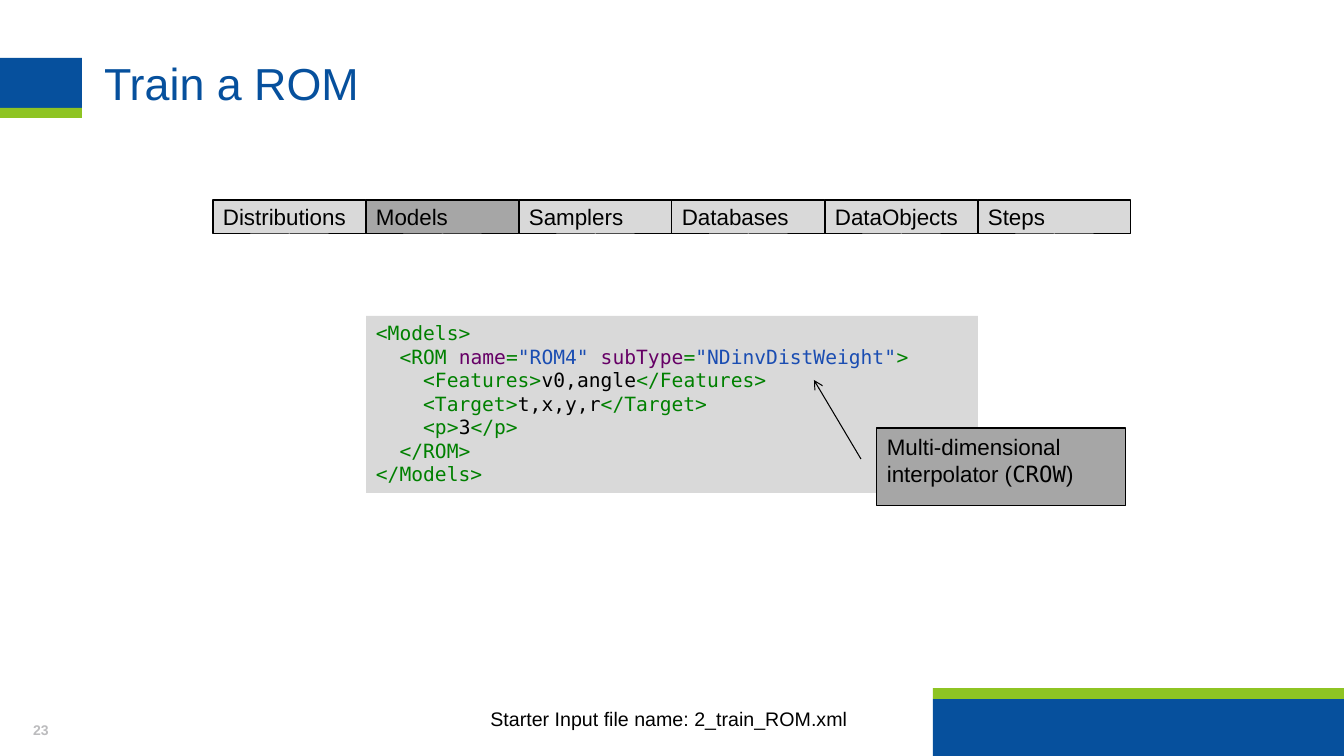
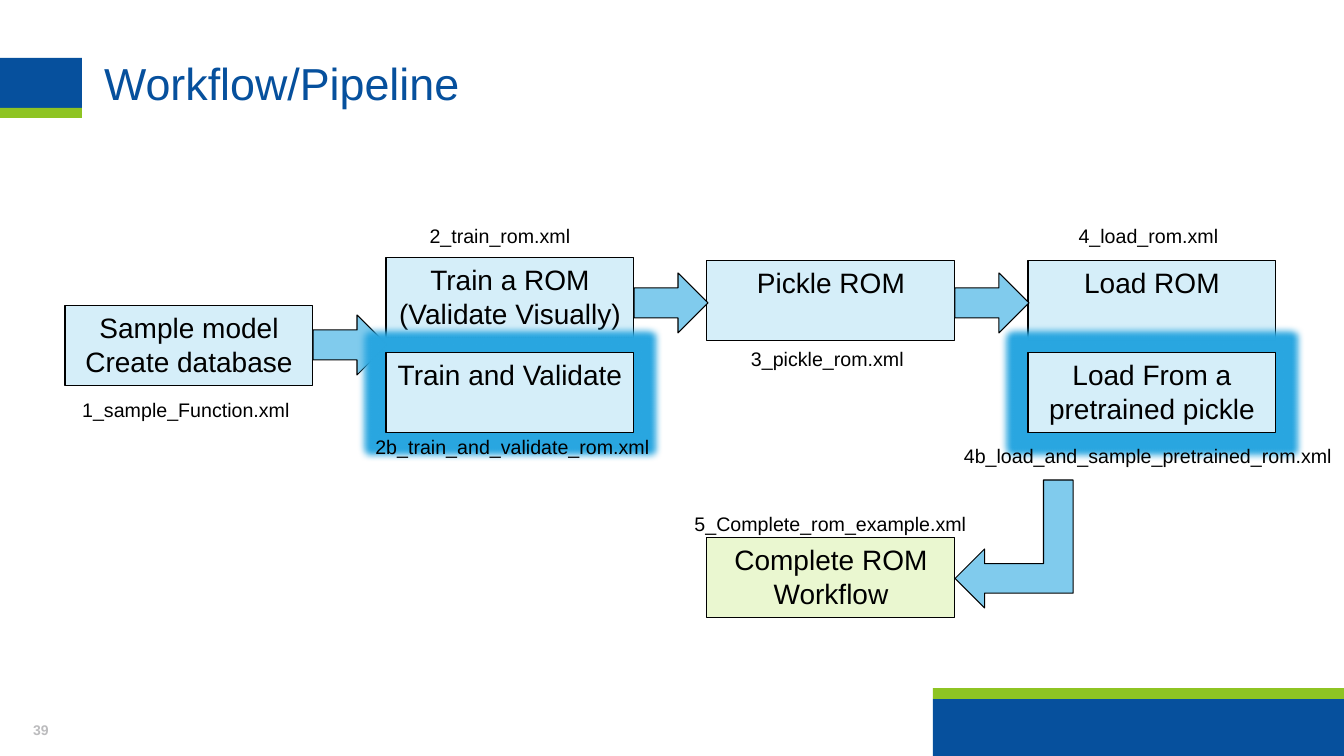
from lxml import etree
from pptx import Presentation
from pptx.dml.color import RGBColor
from pptx.enum.shapes import MSO_CONNECTOR, MSO_SHAPE
from pptx.enum.text import MSO_ANCHOR, MSO_AUTO_SIZE, PP_ALIGN
from pptx.oxml.ns import qn
from pptx.util import Pt

RECT = MSO_SHAPE.RECTANGLE
RIGHT_ARROW, BENT_ARROW = MSO_SHAPE.RIGHT_ARROW, MSO_SHAPE.BENT_UP_ARROW
STRAIGHT = MSO_CONNECTOR.STRAIGHT
LEFT, CENTER = PP_ALIGN.LEFT, PP_ALIGN.CENTER
TOP, MIDDLE = MSO_ANCHOR.TOP, MSO_ANCHOR.MIDDLE
NO_FIT = MSO_AUTO_SIZE.NONE

SLIDE_W, SLIDE_H = 1344, 756
EMU_PER_PX = 12192000 / SLIDE_W
SANS, MONO = "Arial", "DejaVu Sans Mono"
BLACK, BLUE, GREEN, PAGE_GREY = "000000", "06509D", "8EC423", "BCBCBE"
LIGHT_GREY, DARK_GREY = "D9D9D9", "A6A6A6"
PALE_BLUE, SKY, PALE_GREEN, GLOW = "D5EEF9", "80CBED", "EAF7D0", "2AA7E1"
TAG, ATTR, VALUE = "008000", "660066", "1A4DB2"

BANDS = [
    (933, 699, 411, 57, BLUE),
    (933, 688, 411, 11, GREEN),
    (0, 58, 82, 50, BLUE),
    (0, 108, 82, 10, GREEN),
]
SECTIONS = ["Distributions", "Models", "Samplers", "Databases", "DataObjects", "Steps"]
CODE = [
    [("<Models>", TAG)],
    [("  <ROM ", TAG), ("name", ATTR), ("=", TAG), ('"ROM4" ', VALUE),
     ("subType", ATTR), ("=", TAG), ('"NDinvDistWeight"', VALUE), (">", TAG)],
    [("    <Features>", TAG), ("v0,angle", BLACK), ("</Features>", TAG)],
    [("    <Target>", TAG), ("t,x,y,r", BLACK), ("</Target>", TAG)],
    [("    <p>", TAG), ("3", BLACK), ("</p>", TAG)],
    [("  </ROM>", TAG)],
    [("</Models>", TAG)],
]
COLUMN_STEP, STEP_W, STEP_H = 321, 248, 80
PLAIN_STEPS = [
    (0, 306, PALE_BLUE, ["Sample model Create database"]),
    (1, 258, PALE_BLUE, ["Train a ROM", "(Validate Visually)"]),
    (2, 261, PALE_BLUE, ["Pickle ROM"]),
    (3, 261, PALE_BLUE, ["Load ROM"]),
    (2, 538, PALE_GREEN, ["Complete ROM Workflow"]),
]
GLOWING_STEPS = [
    (1, 353, PALE_BLUE, ["Train and Validate"]),
    (3, 353, PALE_BLUE, ["Load From a pretrained pickle"]),
]
ARROW_TOPS = [315, 273, 273]
FILE_LABELS = [
    ("1_sample_Function.xml", 62, 393, 248),
    ("2_train_rom.xml", 376, 219, 248),
    ("2b_train_and_validate_rom.xml", 365, 430, 295),
    ("3_pickle_rom.xml", 680, 342, 295),
    ("4_load_rom.xml", 1001, 219, 295),
    ("4b_load_and_sample_pretrained_rom.xml", 952, 439, 392),
    ("5_Complete_rom_example.xml", 683, 507, 295),
]


def px(*values):
    """Turn pixel lengths into EMU."""
    return [round(v * EMU_PER_PX) for v in values]


def rgb(value):
    """Turn a hex string into a colour."""
    return RGBColor.from_string(value)


def style_paragraph(p, size, color=BLACK, align=LEFT, font=SANS):
    """Set alignment and font of a whole paragraph."""
    p.alignment = align
    p.font.name, p.font.size = font, Pt(size)
    p.font.color.rgb = rgb(color)


def write(tf, lines, size, color=BLACK, align=LEFT, anchor=TOP, font=SANS):
    """Write lines, each a string or a list of (text, colour) runs."""
    tf.word_wrap = True
    tf.vertical_anchor = anchor
    for i, line in enumerate(lines):
        p = tf.add_paragraph() if i else tf.paragraphs[0]
        if isinstance(line, str):
            p.text = line
        else:
            for text, run_color in line:
                r = p.add_run()
                r.text = text
                r.font.color.rgb = rgb(run_color)
        style_paragraph(p, size, color, align, font)


def add_shape(slide, kind, x, y, w, h, fill, outlined=True):
    """Add a flat filled shape with an optional thin black outline."""
    s = slide.shapes.add_shape(kind, *px(x, y, w, h))
    s.shadow.inherit = False
    s.fill.solid()
    s.fill.fore_color.rgb = rgb(fill)
    if outlined:
        s.line.color.rgb = rgb(BLACK)
        s.line.width = Pt(0.75)
    else:
        s.line.fill.background()
    return s


def add_text(slide, text, x, y, w, h, size, **style):
    """Add a centred one-line text box."""
    s = slide.shapes.add_textbox(*px(x, y, w, h))
    write(s.text_frame, [text], size, align=CENTER, **style)
    return s


def add_glow(s):
    """Put a blue glow around a shape."""
    effects = s.element.spPr.find(qn("a:effectLst"))
    glow = etree.SubElement(effects, qn("a:glow"), rad=str(Pt(10)))
    etree.SubElement(glow, qn("a:srgbClr"), val=GLOW)


def add_arrow_line(slide, x1, y1, x2, y2):
    """Add a thin line with an open arrowhead at its end."""
    s = slide.shapes.add_connector(STRAIGHT, *px(x1, y1, x2, y2))
    s.line.color.rgb = rgb(BLACK)
    s.line.width = Pt(0.75)
    ln = s.element.spPr.find(qn("a:ln"))
    etree.SubElement(ln, qn("a:tailEnd"), type="arrow")
    etree.SubElement(s.element.spPr, qn("a:effectLst"))


def add_bands(slide, layout):
    """Draw the coloured bands and move them to the shared layout."""
    for x, y, w, h, color in BANDS:
        s = add_shape(slide, RECT, x, y, w, h, color, outlined=False)
        layout.shapes.element.append(s.element)


def add_slide(prs, layout, title, number):
    """Add a slide with its title and page number."""
    slide = prs.slides.add_slide(layout)
    s = slide.shapes.title
    s.left, s.top, s.width, s.height = px(104, 62, 1148, 111)
    tf = s.text_frame
    tf.auto_size = NO_FIT
    tf.margin_left = tf.margin_top = 0
    write(tf, [title], 32, BLUE)
    tf.paragraphs[0].line_spacing = 0.9
    s = add_text(slide, number, 17, 716, 48, 40, 10, color=PAGE_GREY, anchor=MIDDLE)
    s.text_frame.margin_bottom = px(17)[0]
    s.text_frame.paragraphs[0].font.bold = True
    return slide


def add_section_bar(slide, current):
    """Add the row of section names with the current one darker."""
    for i, name in enumerate(SECTIONS):
        fill = DARK_GREY if name == current else LIGHT_GREY
        s = add_shape(slide, RECT, 213 + 153 * i, 200, 153, 34, fill)
        write(s.text_frame, [name], 16, anchor=MIDDLE)


def add_step(slide, column, top, fill, lines):
    """Add one workflow step in its column."""
    s = add_shape(slide, RECT, 65 + COLUMN_STEP * column, top, STEP_W, STEP_H, fill)
    write(s.text_frame, lines, 20, align=CENTER)
    return s


def build_training(slide):
    """Fill the slide on training a ROM."""
    add_section_bar(slide, "Models")
    s = add_shape(slide, RECT, 366, 316, 612, 177, LIGHT_GREY, outlined=False)
    write(s.text_frame, CODE, 14, font=MONO)
    add_text(slide, "Starter Input file name: 2_train_ROM.xml", 165, 702, 1008, 34, 14)
    s = add_shape(slide, RECT, 877, 428, 249, 78, DARK_GREY)
    note = [("Multi-dimensional interpolator (", BLACK), ("CROW", BLACK), (")", BLACK)]
    write(s.text_frame, [note], 16)
    s.text_frame.paragraphs[0].runs[1].font.name = MONO
    add_arrow_line(slide, 861, 459, 814, 380)


def build_workflow(slide):
    """Fill the slide on the workflow."""
    for step in PLAIN_STEPS:
        add_step(slide, *step)
    for i, top in enumerate(ARROW_TOPS):
        add_shape(slide, RIGHT_ARROW, 313 + COLUMN_STEP * i, top, 74, 60, SKY)
    s = add_shape(slide, BENT_ARROW, 950, 485, 128, 118, SKY)
    s.rotation = 270
    s.element.spPr.find(qn("a:xfrm")).set("flipH", "1")
    for step in GLOWING_STEPS:
        add_glow(add_step(slide, *step))
    for text, x, y, w in FILE_LABELS:
        add_text(slide, text, x, y, w, 34, 14)


def main():
    """Build and save the presentation."""
    prs = Presentation()
    prs.slide_width, prs.slide_height = px(SLIDE_W, SLIDE_H)
    layout = prs.slide_layouts.get_by_name("Title Only")
    training = add_slide(prs, layout, "Train a ROM", "23")
    add_bands(training, layout)
    build_training(training)
    build_workflow(add_slide(prs, layout, "Workflow/Pipeline", "39"))
    prs.save("out.pptx")


if __name__ == "__main__":
    main()
